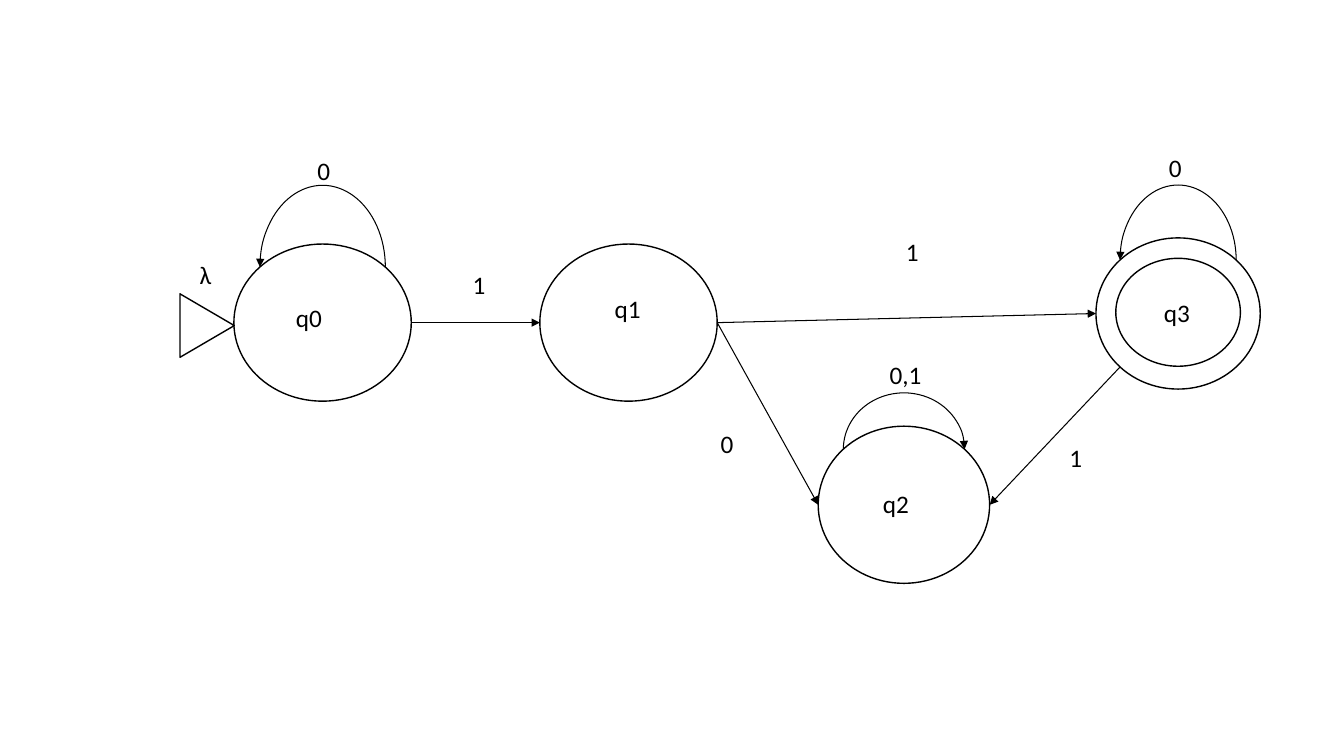
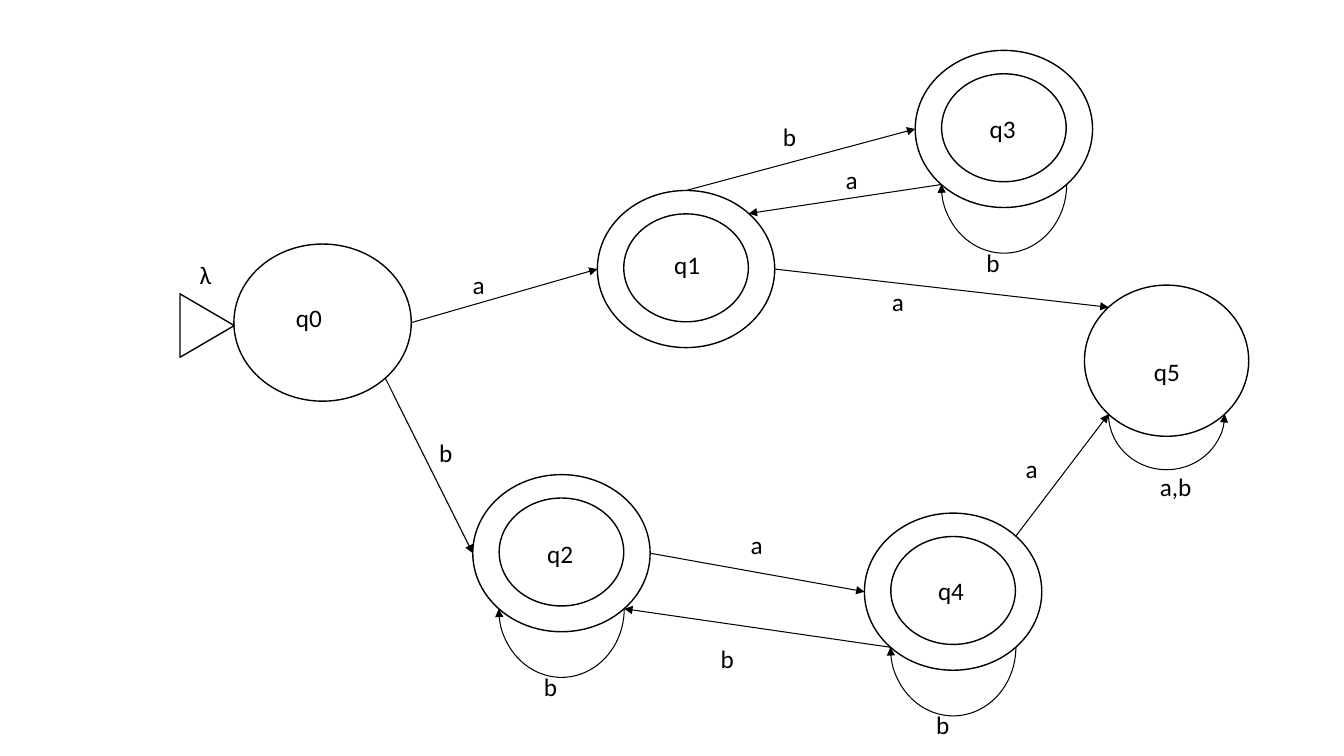
import math
import pptx
import pptx.util
import pptx.dml.color
import pptx.enum.shapes
import pptx.enum.text
import pptx.oxml.ns
import lxml.etree

Cm = pptx.util.Cm
Pt = pptx.util.Pt
SHAPE = pptx.enum.shapes.MSO_SHAPE
qn = pptx.oxml.ns.qn

COLORS = {"ink": "000000", "paper": "FFFFFF"}
FONT = "Calibri"
LABEL_WIDTHS = {1: 0.84, 2: 1.17, 3: 1.32}
LABEL_HEIGHT = 1.03
INNER_WIDTH, INNER_HEIGHT = 3.14, 2.72
SITES = ["N", "NW", "W", "SW", "S", "SE", "E", "NE"]
BIG, WIDE, SMALL = (4.47, 3.96), (4.32, 3.96), (4.14, 3.81)

START = ("q0", 8.13, 8.13, BIG, False, 7.21, 7.49)

AUTOMATA = [
    {
        "states": [
            START,
            ("q1", 15.84, 8.13, BIG, False, 15.24, 7.26),
            ("q2", 22.78, 12.72, WIDE, False, 22, 12.19),
            ("q3", 29.69, 7.9, SMALL, True, 29.08, 7.37),
        ],
        "arrows": [
            ("q0", "E", "q1", "W", "1", 11.66, 6.65),
            ("q1", "E", "q2", "W", "0", 17.91, 10.67),
            ("q1", "E", "q3", "W", "1", 22.58, 5.84),
            ("q3", "SW", "q2", "E", "1", 26.7, 11.02),
        ],
        "loops": [
            ("q0", "above", "headEnd", 2.06, "0", 7.75, 3.78),
            ("q3", "above", "headEnd", 1.89, "0", 29.21, 3.71),
            ("q2", "above", "tailEnd", 1.42, "0,1", 22.17, 8.92),
        ],
    },
    {
        "states": [
            START,
            ("q1", 17.29, 6.78, BIG, True, 16.74, 6.17),
            ("q2", 14.15, 13.94, BIG, True, 13.54, 13.44),
            ("q3", 25.3, 3.25, BIG, True, 24.69, 2.74),
            ("q4", 24.02, 14.91, BIG, True, 23.39, 14.38),
            ("q5", 29.4, 9.09, SMALL, False, 28.83, 8.86),
        ],
        "arrows": [
            ("q0", "E", "q1", "W", "a", 11.66, 6.65),
            ("q0", "SE", "q2", "W", "b", 10.82, 10.9),
            ("q1", "N", "q3", "W", "b", 19.48, 2.92),
            ("q3", "SW", "q1", "NE", "a", 21.06, 4.01),
            ("q1", "E", "q5", "NW", "a", 22.23, 7.09),
            ("q2", "E", "q4", "W", "a", 18.67, 13.21),
            ("q4", "SW", "q2", "SE", "b", 17.91, 16.08),
            ("q4", "NE", "q5", "SW", "a", 25.6, 11.3),
        ],
        "loops": [
            ("q2", "below", "tailEnd", 1.73, "b", 13.46, 16.79),
            ("q3", "below", "tailEnd", 1.73, "b", 24.61, 6.1),
            ("q4", "below", "tailEnd", 1.73, "b", 23.34, 17.75),
            ("q5", "below", "headEnd", 1.4, "a,b", 28.98, 11.76),
        ],
    },
]


def outline(shape, width, fill=None, arrow=None):
    shape.line.color.rgb = pptx.dml.color.RGBColor.from_string(COLORS["ink"])
    shape.line.width = Pt(width)
    if fill:
        shape.fill.solid()
        shape.fill.fore_color.rgb = pptx.dml.color.RGBColor.from_string(COLORS[fill])
    if arrow:
        lxml.etree.SubElement(shape.line._get_or_add_ln(), qn("a:" + arrow), type="triangle")


def site_point(state, site):
    name, x, y, (width, height) = state[:4]
    angle = math.radians(90 + 45 * SITES.index(site))
    return x + width / 2 * math.cos(angle), y - height / 2 * math.sin(angle)


deck = pptx.Presentation()
deck.slide_width = Cm(33.87)
deck.slide_height = Cm(19.05)

for automaton in AUTOMATA:
    page = deck.slides.add_slide(deck.slide_layouts[6])
    states = {state[0]: state for state in automaton["states"]}
    circles = {}
    labels = [("λ", 4.78, 6.4)]

    for name, x, y, (width, height), accepting, name_x, name_y in automaton["states"]:
        circle = page.shapes.add_shape(
            SHAPE.OVAL, Cm(x - width / 2), Cm(y - height / 2), Cm(width), Cm(height))
        circle.shadow.inherit = False
        outline(circle, 1, "paper")
        circles[name] = circle
        if accepting:
            ring = page.shapes.add_shape(
                SHAPE.OVAL, Cm(x - INNER_WIDTH / 2), Cm(y - 0.03 - INNER_HEIGHT / 2),
                Cm(INNER_WIDTH), Cm(INNER_HEIGHT))
            ring.shadow.inherit = False
            ring.fill.background()
            outline(ring, 1)
        labels.append((name, name_x, name_y))

    for source, source_site, target, target_site, *label in automaton["arrows"]:
        begin = site_point(states[source], source_site)
        end = site_point(states[target], target_site)
        arrow = page.shapes.add_connector(
            pptx.enum.shapes.MSO_CONNECTOR.STRAIGHT,
            Cm(begin[0]), Cm(begin[1]), Cm(end[0]), Cm(end[1]))
        outline(arrow, 0.75, arrow="tailEnd")
        lxml.etree.SubElement(arrow._element.spPr, qn("a:effectLst"))
        glue = arrow._element.nvCxnSpPr.cNvCxnSpPr
        for tag, state, site in (("a:stCxn", source, source_site), ("a:endCxn", target, target_site)):
            lxml.etree.SubElement(
                glue, qn(tag), id=str(circles[state].shape_id), idx=str(SITES.index(site)))
        labels.append(label)

    for name, side, arrow_end, height, *label in automaton["loops"]:
        corners = ("NW", "NE") if side == "above" else ("SW", "SE")
        left, y = site_point(states[name], corners[0])
        right = site_point(states[name], corners[1])[0]
        loop = page.shapes.add_shape(
            SHAPE.ARC, Cm(left), Cm(y - height), Cm(right - left), Cm(2 * height))
        loop.adjustments[0], loop.adjustments[1] = (108, 0) if side == "above" else (0, 108)
        loop.shadow.inherit = False
        loop.fill.background()
        outline(loop, 0.75, arrow=arrow_end)
        labels.append(label)

    start_marker = page.shapes.add_shape(
        SHAPE.ISOSCELES_TRIANGLE, Cm(4.42), Cm(7.52), Cm(1.6), Cm(1.37))
    start_marker.rotation = 90
    start_marker.shadow.inherit = False
    outline(start_marker, 1, "paper")

    for text, x, y in labels:
        box = page.shapes.add_textbox(
            Cm(x), Cm(y), Cm(LABEL_WIDTHS[len(text)]), Cm(LABEL_HEIGHT))
        box.text_frame.word_wrap = False
        box.text_frame.auto_size = pptx.enum.text.MSO_AUTO_SIZE.SHAPE_TO_FIT_TEXT
        para = box.text_frame.paragraphs[0]
        para.text = text
        para.font.name = FONT
        para.font.size = Pt(18)
        para.font.color.rgb = pptx.dml.color.RGBColor.from_string(COLORS["ink"])

deck.save("out.pptx")
